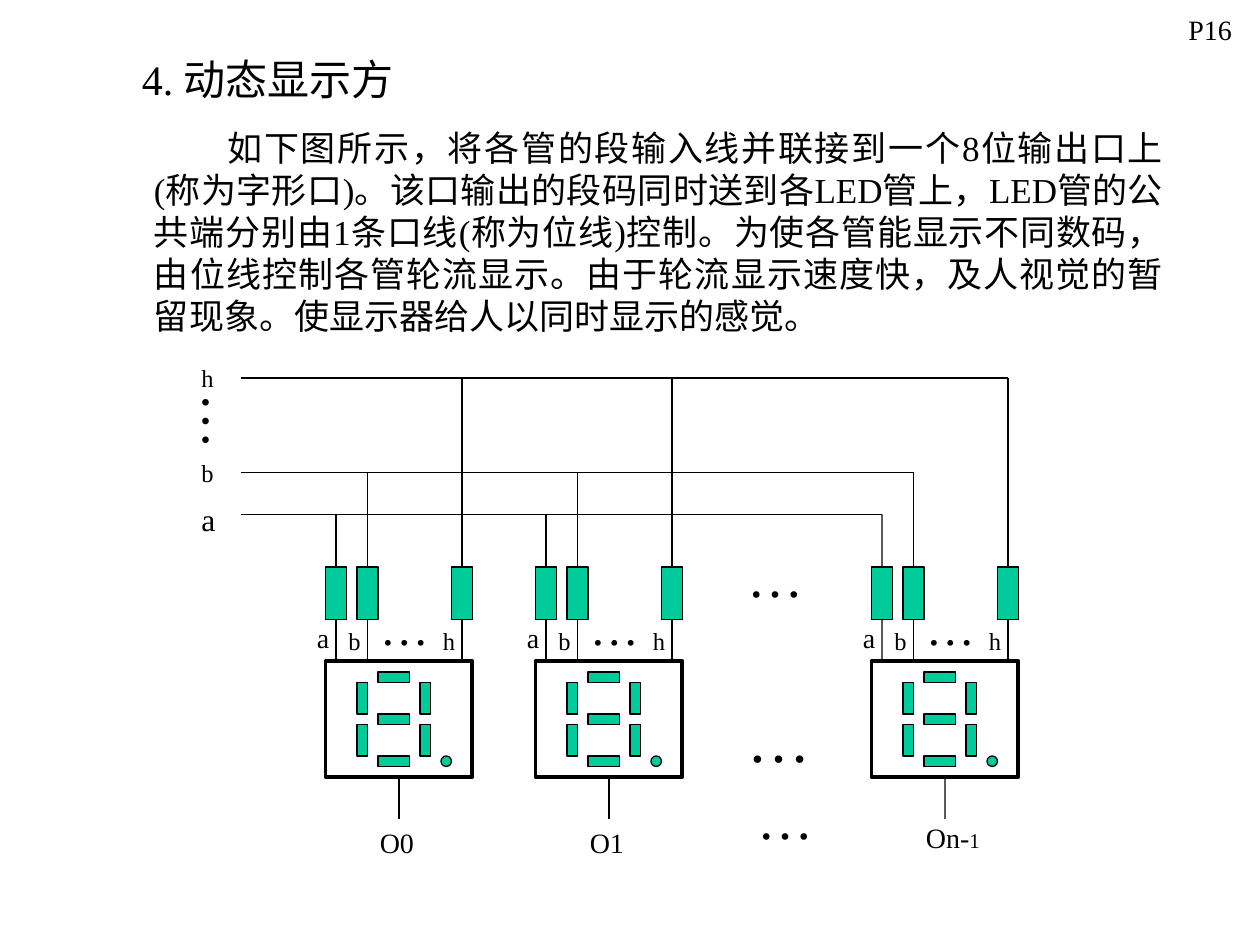
from lxml import etree
from pptx import Presentation
from pptx.dml.color import RGBColor
from pptx.enum.shapes import MSO_CONNECTOR as Connector, MSO_SHAPE as Shape
from pptx.enum.text import MSO_ANCHOR as Anchor, MSO_AUTO_SIZE as AutoSize, PP_ALIGN as Align
from pptx.oxml.ns import qn
from pptx.util import Cm, Pt

FONT = "Times New Roman"
BLACK, GREEN = "000000", "00CC99"
TOP, BOTTOM = 0, 2

# The diagram sits on a grid of twelve steps to the inch.
DIGIT_LEFTS = (31, 51, 83)
DIGIT_TOP, DIGIT_WIDTH, DIGIT_HEIGHT = 63, 14, 11
RESISTOR_TOP, RESISTOR_WIDTH, RESISTOR_HEIGHT = 54, 2, 5
BUS_LEFT = 23
BUSES = ((0, 49), (3, 45), (12, 36))  # resistor offset, height of the bus
SEGMENTS = [(5, y, 3, 1) for y in (1, 5, 9)] + [(x, y, 1, 3) for x in (3, 9) for y in (2, 6)]

TITLE = "4. 动态显示方"
BODY = (
    "如下图所示，将各管的段输入线并联接到一个8位输出口上(称为字形口)。"
    "该口输出的段码同时送到各LED管上，LED管的公共端分别由1条口线(称为位线)控制。"
    "为使各管能显示不同数码，由位线控制各管轮流显示。"
    "由于轮流显示速度快，及人视觉的暂留现象。使显示器给人以同时显示的感觉。"
)


def grid(steps):
    return Cm(steps * 2.54 / 12)


def color(hex_value):
    return RGBColor.from_string(hex_value)


def format_run(run, size):
    run.font.name = FONT
    run.font.size = Pt(size)
    run.font.color.rgb = color(BLACK)
    run._r.get_or_add_rPr().set("lang", "zh-CN")


def fill_placeholder(holder, box, text, size, align, anchor):
    holder.left, holder.top, holder.width, holder.height = (Cm(v) for v in box)
    frame = holder.text_frame
    frame.text = text
    frame.auto_size = AutoSize.NONE
    frame.vertical_anchor = anchor
    paragraph = frame.paragraphs[0]
    paragraph.alignment = align
    paragraph.space_before = Pt(0)
    format_run(paragraph.runs[0], size)
    return paragraph


def add_block(slide, kind, x, y, width, height, fill=GREEN, weight=0.75):
    block = slide.shapes.add_shape(kind, grid(x), grid(y), grid(width), grid(height))
    block.shadow.inherit = False
    if fill:
        block.fill.solid()
        block.fill.fore_color.rgb = color(fill)
    else:
        block.fill.background()
    block.line.color.rgb = color(BLACK)
    block.line.width = Pt(weight)
    return block


def add_wire(slide, x1, y1, x2, y2):
    wire = slide.shapes.add_connector(Connector.STRAIGHT, grid(x1), grid(y1), grid(x2), grid(y2))
    wire.line.color.rgb = color(BLACK)
    wire.line.width = Pt(0.75)
    etree.SubElement(wire._element.spPr, qn("a:effectLst"))
    return wire


def add_label(slide, x, y, width, height, *parts, rotation=0):
    """Add one line of text; each part is a (text, size) pair."""
    label = slide.shapes.add_textbox(grid(x), grid(y), grid(width), grid(height))
    label.rotation = rotation
    label.text_frame.word_wrap = True
    paragraph = label.text_frame.paragraphs[0]
    for text, size in parts:
        run = paragraph.add_run()
        run.text = text
        format_run(run, size)


def add_digit(slide, left):
    """Add a display digit with its resistors, segment wires and select line."""
    frame = add_block(slide, Shape.RECTANGLE, left, DIGIT_TOP, DIGIT_WIDTH, DIGIT_HEIGHT,
                      fill=None, weight=2.25)
    for x, y, width, height in SEGMENTS:
        add_block(slide, Shape.RECTANGLE, left + x, DIGIT_TOP + y, width, height)
    add_block(slide, Shape.FLOWCHART_CONNECTOR, left + 11, DIGIT_TOP + 9, 1, 1)

    resistor_bottom = RESISTOR_TOP + RESISTOR_HEIGHT
    for offset, bus_y in BUSES:
        x = left + offset
        resistor = add_block(slide, Shape.RECTANGLE, x, RESISTOR_TOP,
                             RESISTOR_WIDTH, RESISTOR_HEIGHT)
        add_wire(slide, x + 1, RESISTOR_TOP, x + 1, bus_y).begin_connect(resistor, TOP)
        add_wire(slide, x + 1, resistor_bottom, x + 1, DIGIT_TOP).begin_connect(resistor, BOTTOM)

    middle, bottom = left + DIGIT_WIDTH / 2, DIGIT_TOP + DIGIT_HEIGHT
    add_wire(slide, middle, bottom, middle, bottom + 4).begin_connect(frame, BOTTOM)

    add_label(slide, left - 2, 58.5, 4, 4.4, ("a", 16))
    add_label(slide, left + 1, 59, 4, 4, ("b", 14))
    add_label(slide, left + 10, 59, 4, 4, ("h", 14))
    add_label(slide, left + 4, 56.2, 7, 6.8, ("…", 28))


def add_buses(slide):
    for offset, y in BUSES:
        add_wire(slide, BUS_LEFT, y, DIGIT_LEFTS[-1] + offset + 1, y)
    add_label(slide, 18, 47, 4, 4.8, ("a", 18))
    add_label(slide, 18, 43, 5, 4, ("b", 14))
    add_label(slide, 18, 34, 4, 4, ("h", 14))
    add_label(slide, 13.3, 35.6, 9, 7.7, ("…", 32), rotation=270)


def add_text(slide):
    fill_placeholder(slide.shapes.title, (2.12, 1.06, 6.56, 1.06), TITLE, 24,
                     Align.CENTER, Anchor.MIDDLE)
    body = fill_placeholder(slide.placeholders[1], (1.9, 2.42, 21.8, 15.36), BODY, 20,
                            Align.JUSTIFY, Anchor.TOP)
    properties = body._p.get_or_add_pPr()
    properties.set("marL", str(Cm(0.95)))
    properties.set("indent", str(Cm(1.48)))
    etree.SubElement(properties, qn("a:buNone"))
    add_label(slide, 112, 0.6, 8, 4.4, ("P16", 16))


def main():
    deck = Presentation()
    deck.slide_width, deck.slide_height = Cm(25.4), Cm(19.05)
    slide = deck.slides.add_slide(deck.slide_layouts[1])
    add_text(slide)
    for left in DIGIT_LEFTS:
        add_digit(slide, left)
    add_buses(slide)

    add_label(slide, 35, 78, 6, 4.4, ("O0", 16))
    add_label(slide, 55, 78, 7, 4.4, ("O1", 16))
    add_label(slide, 87, 77.6, 9, 4.4, ("On-", 16), ("1", 12))
    add_label(slide, 70, 51, 10, 7.7, ("…", 32))
    add_label(slide, 70, 66, 10, 8.4, ("…", 36))
    add_label(slide, 71, 74, 7, 7.7, ("…", 32))
    deck.save("out.pptx")


if __name__ == "__main__":
    main()
